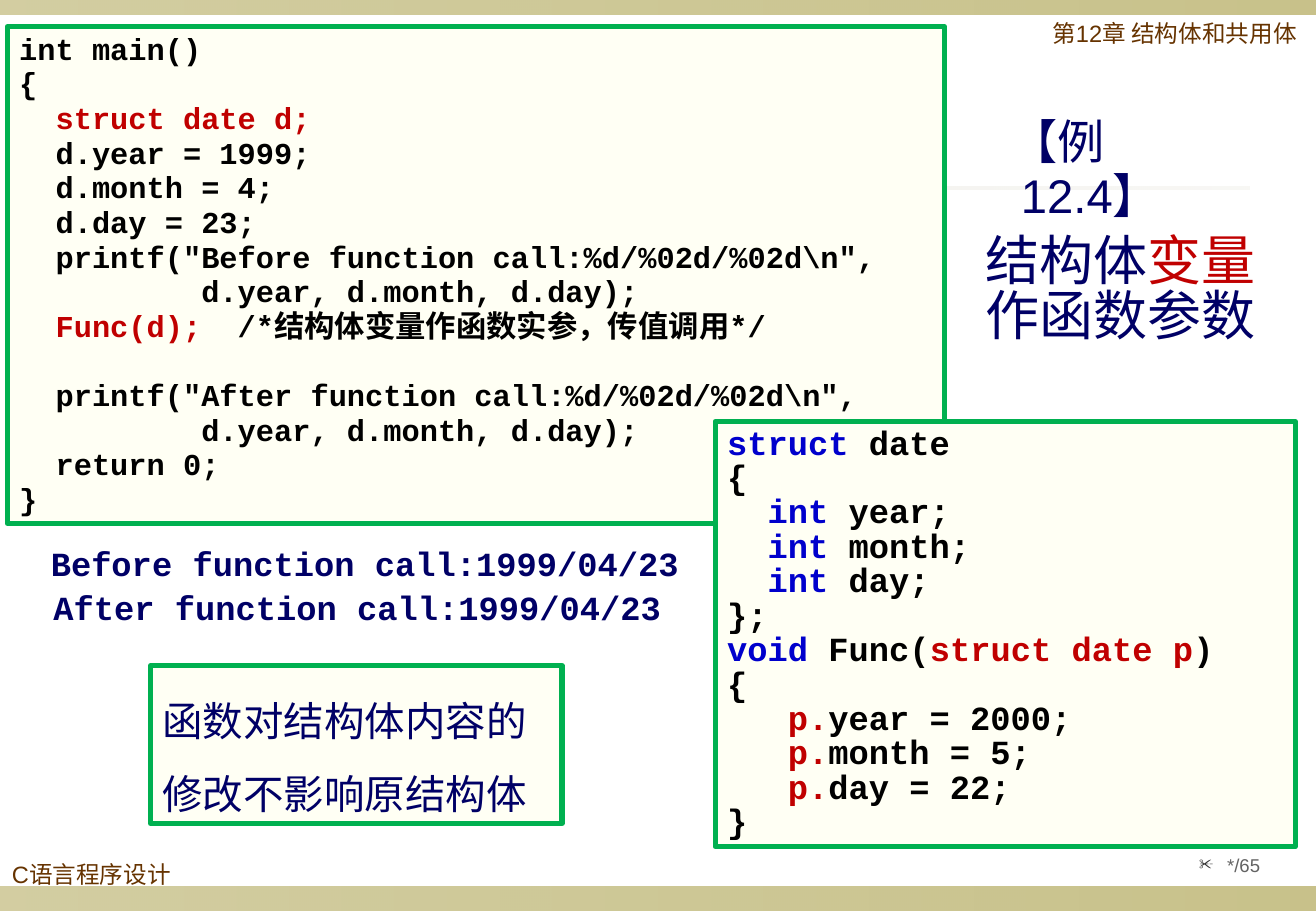
from dataclasses import dataclass
from lxml import etree
from pptx import Presentation
from pptx.dml.color import RGBColor
from pptx.enum.shapes import MSO_SHAPE
from pptx.enum.text import MSO_ANCHOR, MSO_AUTO_SIZE, PP_ALIGN
from pptx.oxml.ns import qn
from pptx.util import Emu, Inches, Pt

RECT = MSO_SHAPE.RECTANGLE
TOP, MID = MSO_ANCHOR.TOP, MSO_ANCHOR.MIDDLE
LEFT, MIDST = PP_ALIGN.LEFT, PP_ALIGN.CENTER
NOFIT = MSO_AUTO_SIZE.NONE
WIDE, HIGH = Inches(10.84), Inches(7.5)


@dataclass(frozen=True)
class Theme:
    sans: str = "Arial"
    mono: str = "Courier New"
    black: str = "000000"
    navy: str = "000066"
    blue: str = "0000CC"
    red: str = "C00000"
    brown: str = "663300"
    gray: str = "636363"
    mark: str = "2F2F2F"
    cream: str = "FFFFF4"
    green: str = "00B050"
    olive: str = "918415"
    pale: str = "DCD9CC"
    tiny: int = 11
    small: int = 14
    code: int = 18
    large: int = 20
    note: int = 24
    head: int = 28
    topic: int = 32


T = Theme()


def red(text):
    return text, T.red


def blue(text):
    return text, T.blue


# Each line is a list of plain strings and coloured pieces
MAIN = [
    ["int main()"], ["{"], ["  ", red("struct date d;")],
    ["  d.year = 1999;"], ["  d.month = 4;"], ["  d.day = 23;"],
    ['  printf("Before function call:%d/%02d/%02d\\n",'],
    ["          d.year, d.month, d.day);"],
    ["  ", red("Func(d);"), "  /*结构体变量作函数实参，传值调用*/"],
    ['  printf("After function call:%d/%02d/%02d\\n",'],
    ["          d.year, d.month, d.day);"], ["  return 0;"], ["}"],
]
GAP_ROW = 9  # line of MAIN that follows a gap
FUNC = [
    [blue("struct"), " date"], ["{"],
    *[["  ", blue("int"), f" {part};"] for part in ("year", "month", "day")],
    ["};"], [blue("void"), " Func(", red("struct date p"), ")"], ["{"],
    *[["   ", red("p."), f"{part} = {value};"]
      for part, value in (("year", 2000), ("month", 5), ("day", 22))],
    ["}"],
]


def assign(thing, values):
    for name, value in values.items():
        setattr(thing, name, value)


def area(x, y, w, h):
    """Turn percent shares of the slide into lengths."""
    return [Emu(int(side * share / 100))
            for side, share in ((WIDE, x), (HIGH, y), (WIDE, w), (HIGH, h))]


def band(slide, box, color, shares):
    """Bar with a gradient of opacity."""
    bar = slide.shapes.add_shape(RECT, *area(*box))
    bar.shadow.inherit = False
    bar.line.fill.background()
    bar.fill.gradient()
    bar.fill.gradient_angle = 0
    for stop, place in zip(bar.fill.gradient_stops, (0, 1)):
        assign(stop, {"position": place})
        stop.color.rgb = RGBColor.from_string(color)
    tones = bar.fill._xPr.iter(qn("a:srgbClr"))
    for tone, share in zip(tones, shares):
        etree.SubElement(tone, qn("a:alpha"), val=str(share * 1000))


def write(shape, lines, size, color, face, bold=False, space=0.9, align=LEFT, **frame):
    """Fill a shape with lines of coloured pieces."""
    text = shape.text_frame
    assign(text, {
        "word_wrap": True, "auto_size": NOFIT, "vertical_anchor": TOP,
        "margin_left": Inches(0.1), "margin_right": Inches(0.1),
        "margin_top": Inches(0.05), "margin_bottom": Inches(0.05), **frame})
    for row, line in enumerate(lines):
        para = text.add_paragraph() if row else text.paragraphs[0]
        assign(para, {"alignment": align, "line_spacing": space,
                      "space_before": Pt(0), "space_after": Pt(0)})
        for piece in line:
            words, tone = (piece, color) if isinstance(piece, str) else piece
            run = para.add_run()
            run.text = words
            assign(run.font, {"name": face, "size": Pt(size), "bold": bold})
            run.font.color.rgb = RGBColor.from_string(tone)
    return text.paragraphs


def label(slide, box, lines, *style, **form):
    return write(slide.shapes.add_textbox(*area(*box)), lines, *style, **form)


def panel(slide, box, lines, *style, **form):
    """Cream box with a green frame."""
    shape = slide.shapes.add_shape(RECT, *area(*box))
    shape.shadow.inherit = False
    shape.fill.solid()
    shape.fill.fore_color.rgb = RGBColor.from_string(T.cream)
    shape.line.color.rgb = RGBColor.from_string(T.green)
    shape.line.width = Pt(3)
    return write(shape, lines, *style, **form)


def indent(para, left, first):
    props = para._p.get_or_add_pPr()
    props.set("marL", str(Inches(left)))
    props.set("indent", str(Inches(first)))
    return props


def bullet(para, sign, color, share):
    props = indent(para, 0.23, -0.23)
    tone = etree.SubElement(props, qn("a:buClr"))
    etree.SubElement(tone, qn("a:srgbClr"), val=color)
    etree.SubElement(props, qn("a:buSzPct"), val=str(share * 1000))
    etree.SubElement(props, qn("a:buChar"), char=sign)


def title(slide, box, words):
    shape = slide.shapes.title
    assign(shape, dict(zip(("left", "top", "width", "height"), area(*box))))
    paras = write(shape, [[words]], T.head, T.navy, T.sans, space=0.95,
                  margin_right=Inches(0.5))
    indent(paras[0], 0.41, -0.09)
    slide.shapes._spTree.append(shape._element)  # in front of the rule


def main():
    deck = Presentation()
    assign(deck, {"slide_width": WIDE, "slide_height": HIGH})
    slide = deck.slides.add_slide(deck.slide_layouts[5])

    # Bars, rule and running heads
    band(slide, (0, 97.33, 100, 2.67), T.olive, (40, 50))
    band(slide, (0, 0, 100, 1.6), T.olive, (40, 50))
    band(slide, (4.98, 20.53, 89.94, 0.27), T.pale, (50, 20))
    label(slide, (0, 94.13, 15.87, 4.27), [["C语言程序设计"]],
          T.small, T.brown, T.sans)
    label(slide, (79.06, 1.73, 20.94, 5.2), [["第12章 结构体和共用体"]],
          T.small, T.brown, T.sans, margin_right=0)

    # Title and topic
    title(slide, (72.88, 12.13, 23.62, 7.33), "【例12.4】")
    label(slide, (73.99, 25.87, 23.99, 12.27),
          [["结构体", red("变量"), "作函数参数"]],
          T.topic, T.navy, T.sans, space=0.85, vertical_anchor=MID)

    # Program output
    for left, top, when in ((2.95, 59.47, "Before"), (3.14, 64.27, "After")):
        label(slide, (left, top, 49.63, 5.33),
              [[f"{when} function call:1999/04/23"]],
              T.large, T.navy, T.mono, bold=True, word_wrap=False)

    # Code and remark
    code = panel(slide, (0.55, 2.93, 71.22, 54.53), MAIN,
                 T.code, T.black, T.mono, bold=True, space=0.95)
    code[GAP_ROW].space_before = Pt(20.5)
    panel(slide, (54.34, 46.27, 44.1, 46.67), FUNC,
          T.large, T.black, T.mono, bold=True, space=0.85)
    panel(slide, (11.44, 73.07, 31.27, 17.33),
          [["函数对结构体内容的修改不影响原结构体"]],
          T.note, T.navy, T.mono, space=1.5)

    # Page number
    page = label(slide, (88.47, 93.07, 9.96, 4.13), [["*/65"]],
                 T.tiny, T.gray, T.sans, align=MIDST, vertical_anchor=MID,
                 margin_left=Inches(0.05), margin_right=Inches(0.05))
    bullet(page[0], "✂", T.mark, 80)

    deck.save("out.pptx")


if __name__ == "__main__":
    main()
